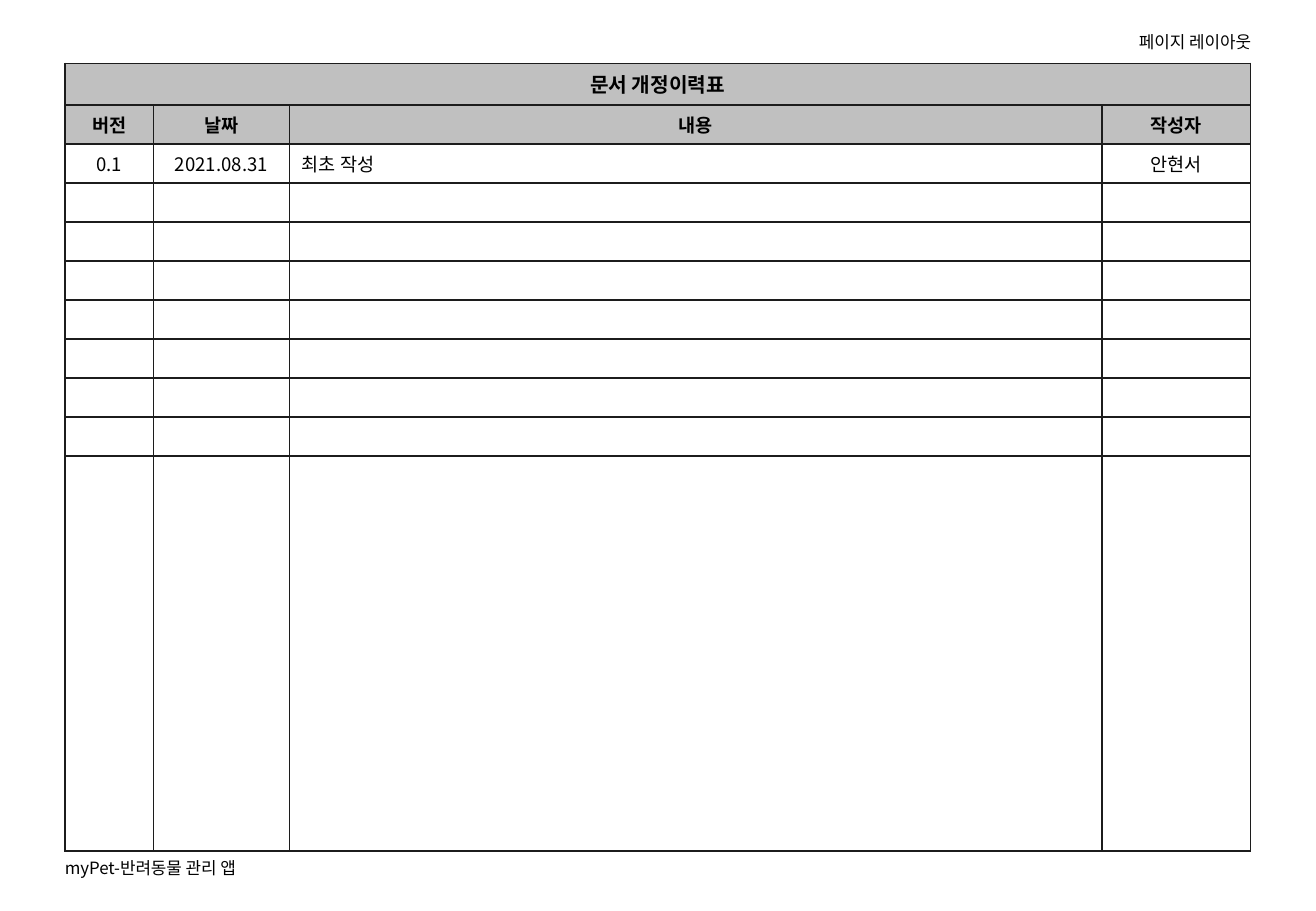
from dataclasses import dataclass

from lxml.etree import SubElement
from pptx import Presentation
from pptx.dml.color import RGBColor
from pptx.enum.shapes import MSO_SHAPE
from pptx.enum.text import MSO_ANCHOR, MSO_AUTO_SIZE, PP_ALIGN
from pptx.oxml.ns import qn
from pptx.util import Pt


@dataclass(frozen=True)
class Theme:
    font: str = "Noto Sans CJK KR"
    ink: str = "000000"
    paper: str = "FFFFFF"
    header: str = "C0C0C0"
    rule: str = "1C1C1C"
    rule_width: float = 1
    heading_size: float = 12
    cell_size: float = 11
    label_size: float = 10


@dataclass(frozen=True)
class Box:
    left: float
    top: float
    width: float
    height: float

    def lengths(self):
        return Pt(self.left), Pt(self.top), Pt(self.width), Pt(self.height)


THEME = Theme()
COLUMN_WIDTHS = [52.56, 80.64, 481.68, 87.84]
CAPTION_HEIGHT = 24.3
ROW_HEIGHT = 23.13
ROW_COUNT = 11
HISTORY = [
    ["문서 개정이력표"],
    ["버전", "날짜", "내용", "작성자"],
    ["0.1", "2021.08.31", "최초 작성", "안현서"],
]


def write(frame, text, size, align, bold=False):
    para = frame.paragraphs[0]
    para.alignment = align
    span = para.add_run()
    span.text = text
    span.font.size = Pt(size)
    span.font.bold = bold
    span.font.name = THEME.font
    span.font.color.rgb = RGBColor.from_string(THEME.ink)
    SubElement(span.font._element, qn("a:ea"), typeface=THEME.font)


def write_label(shape, text, align):
    frame = shape.text_frame
    frame.margin_left = frame.margin_right = 0
    frame.margin_top = frame.margin_bottom = 0
    frame.word_wrap = True
    frame.auto_size = MSO_AUTO_SIZE.NONE
    frame.vertical_anchor = MSO_ANCHOR.TOP
    write(frame, text, THEME.label_size, align)


def add_page_title(page, box):
    title = page.shapes.title
    title.left, title.top, title.width, title.height = box.lengths()
    write_label(title, "페이지 레이아웃", PP_ALIGN.RIGHT)


def add_footer(page, box):
    footer = page.shapes.add_shape(MSO_SHAPE.RECTANGLE, *box.lengths())
    footer.shadow.inherit = False
    footer.fill.solid()
    footer.fill.fore_color.rgb = RGBColor.from_string(THEME.paper)
    footer.line.fill.background()
    write_label(footer, "myPet-반려동물 관리 앱", PP_ALIGN.LEFT)


def rule_cell(cell):
    properties = cell._tc.get_or_add_tcPr()
    for position, side in enumerate(("lnL", "lnR", "lnT", "lnB")):
        line = SubElement(properties, qn(f"a:{side}"), w=str(Pt(THEME.rule_width)))
        fill = SubElement(line, qn("a:solidFill"))
        SubElement(fill, qn("a:srgbClr"), val=THEME.rule)
        properties.insert(position, line)


def fill_cell(cell, text, row, column):
    is_header = row < 2
    if is_header:
        cell.fill.solid()
        cell.fill.fore_color.rgb = RGBColor.from_string(THEME.header)
    else:
        cell.fill.background()
    rule_cell(cell)
    if text:
        size = THEME.heading_size if row == 0 else THEME.cell_size
        is_content = column == 2 and not is_header
        align = PP_ALIGN.LEFT if is_content else PP_ALIGN.CENTER
        write(cell.text_frame, text, size, align, is_header)
    else:
        para = cell.text_frame.paragraphs[0]
        SubElement(para._p, qn("a:endParaRPr"), sz=str(int(THEME.cell_size * 100)))


def add_history_table(page, box):
    shape = page.shapes.add_table(ROW_COUNT, len(COLUMN_WIDTHS), *box.lengths())
    table = shape.table
    table.first_row = table.horz_banding = False
    for column, width in zip(table.columns, COLUMN_WIDTHS):
        column.width = Pt(width)
    heights = [CAPTION_HEIGHT] + [ROW_HEIGHT] * (ROW_COUNT - 2)
    heights.append(box.height - sum(heights))
    for row, height in zip(table.rows, heights):
        row.height = Pt(height)
    table.cell(0, 0).merge(table.cell(0, len(COLUMN_WIDTHS) - 1))
    for row in range(ROW_COUNT):
        texts = HISTORY[row] if row < len(HISTORY) else []
        for column in range(len(COLUMN_WIDTHS)):
            text = texts[column] if column < len(texts) else ""
            fill_cell(table.cell(row, column), text, row, column)


def main():
    deck = Presentation()
    deck.slide_width, deck.slide_height = Pt(780), Pt(540)
    page = deck.slides.add_slide(deck.slide_layouts[5])
    add_history_table(page, Box(38.4, 37.6, sum(COLUMN_WIDTHS), 466.6))
    add_footer(page, Box(38.4, 508.3, 255, 11.5))
    add_page_title(page, Box(512, 18.7, 229.5, 12.2))
    deck.save("out.pptx")


if __name__ == "__main__":
    main()
